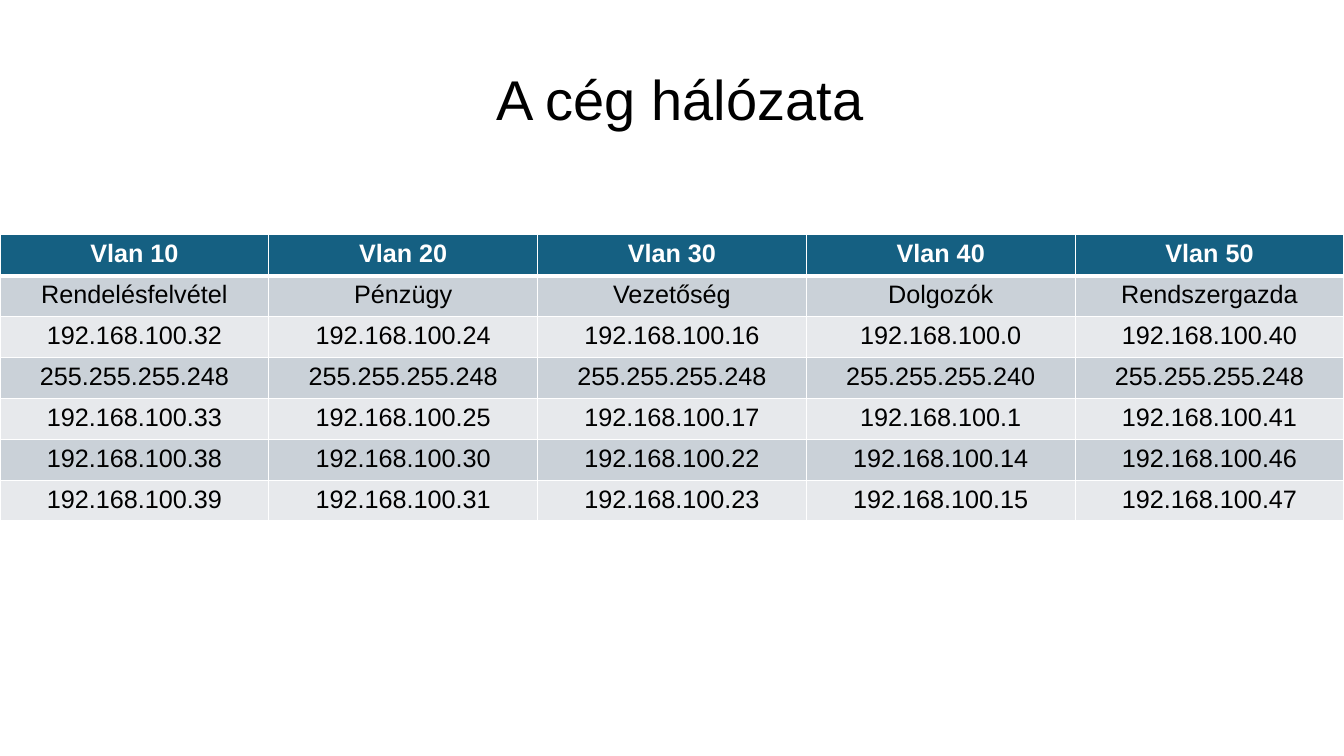
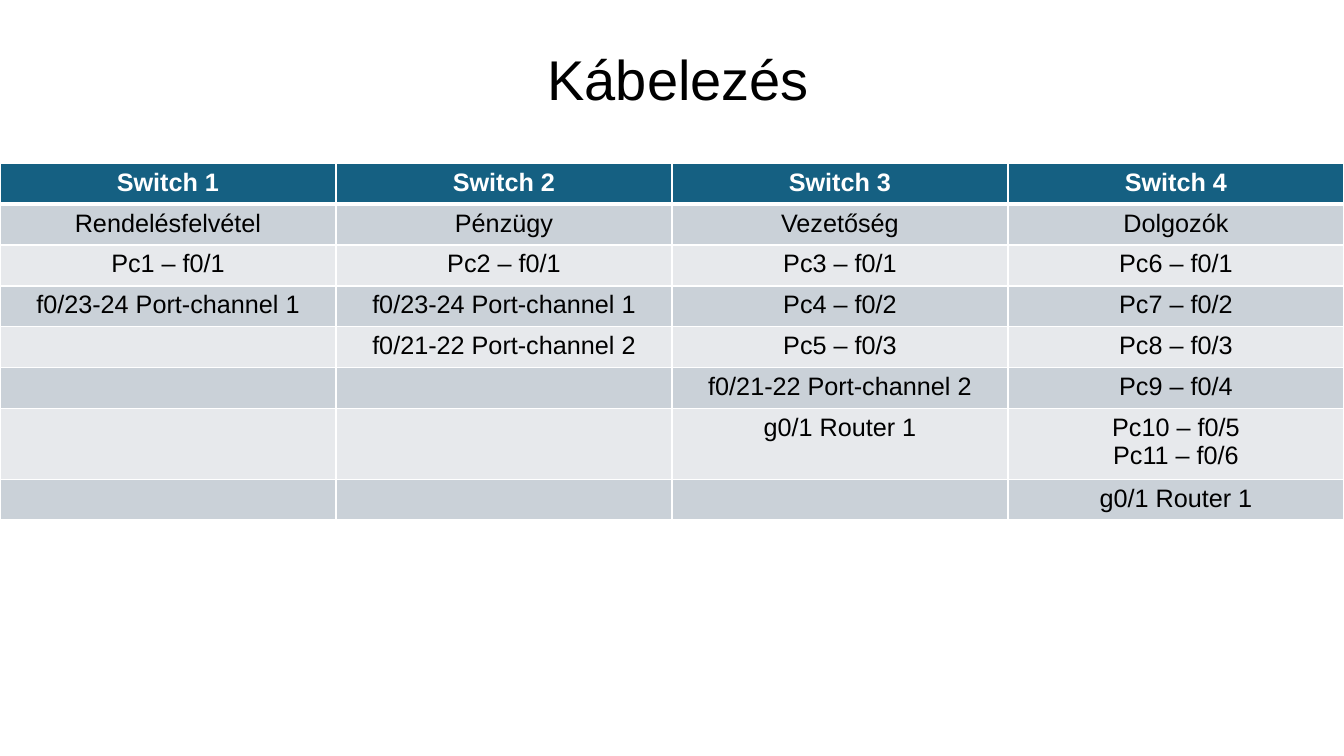
from pptx import Presentation
from pptx.dml.color import RGBColor as RGB
from pptx.enum.text import MSO_ANCHOR as Anchor, MSO_AUTO_SIZE as AutoSize, PP_ALIGN as Align
from pptx.oxml.ns import qn
from pptx.util import Inches, Pt
from lxml.etree import SubElement

COLORS = {"header": "156082", "band": "CAD1D8", "light": "E7E9EC",
          "border": "FFFFFF", "text": "000000", "header_text": "FFFFFF"}
FONT = "Arial"
TITLE_LAYOUT = 5
SLIDE_W, SLIDE_H = 13.33, 7.5
ROW_H = 2.84 / 7
LINE_H = 0.29
TITLE_FRAME = {"word_wrap": True, "auto_size": AutoSize.SHAPE_TO_FIT_TEXT,
               "vertical_anchor": Anchor.TOP}
FONTS = {
    "title": {"name": FONT, "size": Pt(40), "bold": False},
    "header": {"name": FONT, "size": Pt(18), "bold": True},
    "body": {"name": FONT, "size": Pt(18), "bold": False},
}

VLANS = [
    ["Vlan 10", "Vlan 20", "Vlan 30", "Vlan 40", "Vlan 50"],
    ["Rendelésfelvétel", "Pénzügy", "Vezetőség", "Dolgozók", "Rendszergazda"],
    ["192.168.100.32", "192.168.100.24", "192.168.100.16", "192.168.100.0", "192.168.100.40"],
    ["255.255.255.248", "255.255.255.248", "255.255.255.248", "255.255.255.240", "255.255.255.248"],
    ["192.168.100.33", "192.168.100.25", "192.168.100.17", "192.168.100.1", "192.168.100.41"],
    ["192.168.100.38", "192.168.100.30", "192.168.100.22", "192.168.100.14", "192.168.100.46"],
    ["192.168.100.39", "192.168.100.31", "192.168.100.23", "192.168.100.15", "192.168.100.47"],
]
CABLING = [
    ["Switch 1", "Switch 2", "Switch 3", "Switch 4"],
    ["Rendelésfelvétel", "Pénzügy", "Vezetőség", "Dolgozók"],
    ["Pc1 – f0/1", "Pc2 – f0/1", "Pc3 – f0/1", "Pc6 – f0/1"],
    ["f0/23-24 Port-channel 1", "f0/23-24 Port-channel 1", "Pc4 – f0/2", "Pc7 – f0/2"],
    ["", "f0/21-22 Port-channel 2", "Pc5 – f0/3", "Pc8 – f0/3"],
    ["", "", "f0/21-22 Port-channel 2", "Pc9 – f0/4"],
    ["", "", "g0/1 Router 1", "Pc10 – f0/5\nPc11 – f0/6"],
    ["", "", "", "g0/1 Router 1"],
]


def set_attrs(target, values):
    for name, value in values.items():
        setattr(target, name, value)


def color(name):
    return RGB.from_string(COLORS[name])


def style_font(font, kind, color_name):
    set_attrs(font, FONTS[kind])
    font.color.rgb = color(color_name)


def add_title(s, text, left, top, width):
    sp = s.shapes.title
    set_attrs(sp, {"left": Inches(left), "top": Inches(top),
                   "width": Inches(width), "height": Inches(0.77)})
    tf = sp.text_frame
    set_attrs(tf, TITLE_FRAME)
    p = tf.paragraphs[0]
    p.alignment = Align.LEFT
    r = p.add_run()
    r.text = text
    style_font(r.font, "title", "text")


def set_borders(cell, widths):
    tcPr = cell._tc.get_or_add_tcPr()
    for side, width in widths.items():
        ln = SubElement(tcPr, qn(f"a:ln{side}"), w=str(Pt(width)))
        fill = SubElement(ln, qn("a:solidFill"))
        SubElement(fill, qn("a:srgbClr"), val=COLORS["border"])


def fill_cell(cell, text, row):
    is_header = row == 0
    set_borders(cell, {"L": 1, "R": 1, "T": 3 if row == 1 else 1, "B": 3 if is_header else 1})
    cell.fill.solid()
    cell.fill.fore_color.rgb = color("header" if is_header else "band" if row % 2 else "light")
    cell.text = text
    for p in cell.text_frame.paragraphs:
        p.alignment = Align.CENTER
        style_font(p.font, "header" if is_header else "body",
                   "header_text" if is_header else "text")


def add_grid(s, data, top):
    rows, cols = len(data), len(data[0])
    table = s.shapes.add_table(rows, cols, 0, Inches(top), Inches(SLIDE_W),
                               Inches(ROW_H * rows)).table
    table.horz_banding = False
    for i, texts in enumerate(data):
        extra_lines = max(text.count("\n") for text in texts)
        table.rows[i].height = Inches(ROW_H + LINE_H * extra_lines)
        for j, text in enumerate(texts):
            fill_cell(table.cell(i, j), text, i)


def add_table_slide(prs, title, title_box, data, top):
    s = prs.slides.add_slide(prs.slide_layouts[TITLE_LAYOUT])
    add_title(s, title, *title_box)
    add_grid(s, data, top)


def main():
    prs = Presentation()
    prs.slide_width, prs.slide_height = Inches(SLIDE_W), Inches(SLIDE_H)
    add_table_slide(prs, "A cég hálózata", (4.82, 0.59, 4.34), VLANS, 2.33)
    add_table_slide(prs, "Kábelezés", (5.33, 0.39, 3.04), CABLING, 1.62)
    prs.save("out.pptx")


if __name__ == "__main__":
    main()
